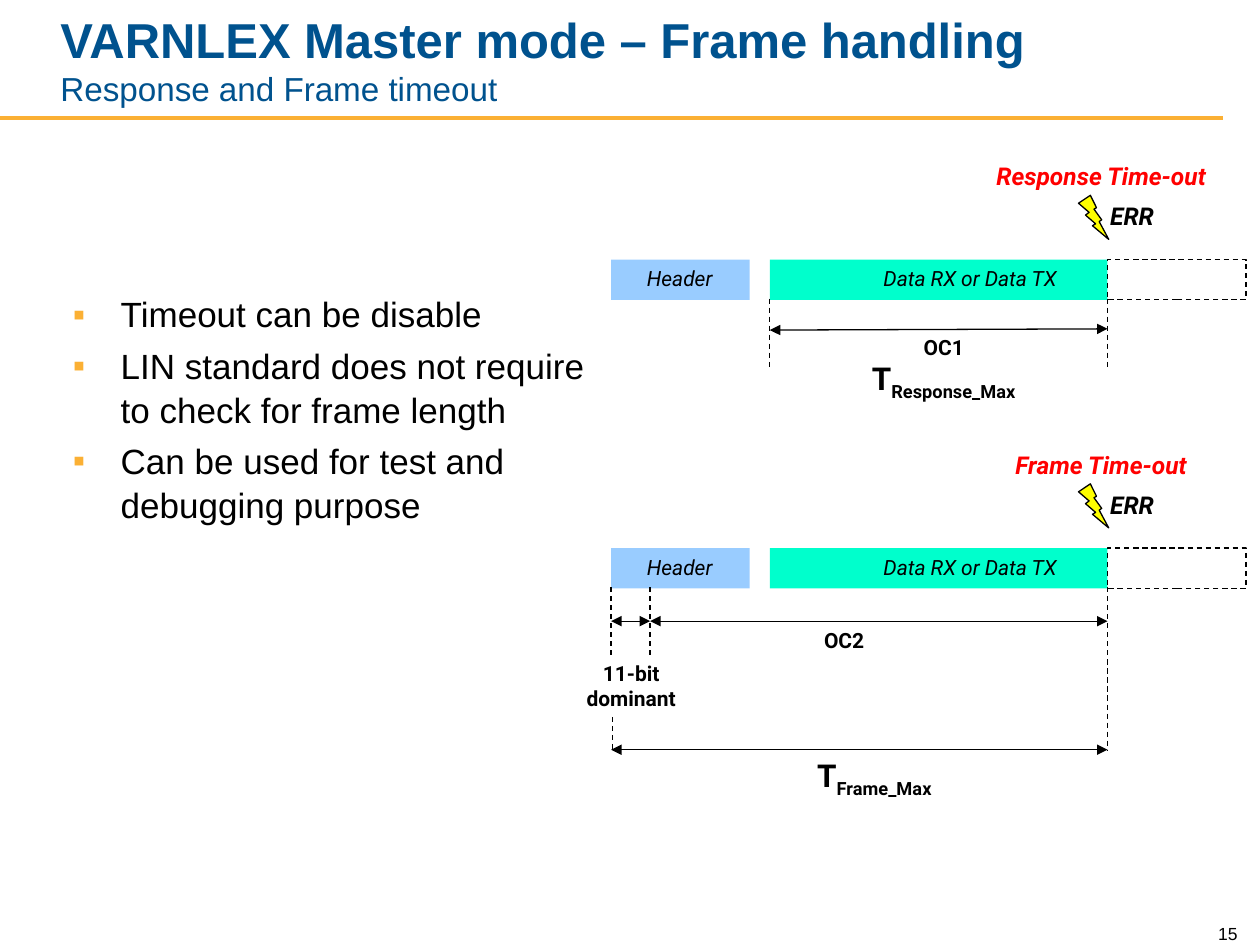
"""Build the slide on response and frame timeouts of a VARNLEX master."""
from lxml import etree
from pptx import Presentation, util as u
from pptx.dml import color as col
from pptx.enum import dml, shapes, text as tx
from pptx.oxml import ns

HUES = {"blue": "00528E", "gold": "FBB034", "sky": "99CCFF", "mint": "00FFCC",
        "red": "FF0000", "sun": "FFFF00", "ink": "000000"}


def rgb(hue):
    """Give the colour object for a named hue."""
    return col.RGBColor.from_string(HUES[hue])


def node(home, tag, **attrs):
    """Add an XML child in the drawing namespace."""
    return etree.SubElement(home, ns.qn(tag), attrs)


def write(para, words, size=12, hue="ink", face="Roboto", bold=False, slant=False,
          side=tx.PP_ALIGN.CENTER, sub=False):
    """Add a formatted run to a paragraph."""
    para.alignment = side
    run = para.add_run()
    run.text = words
    font = run.font
    font.size, font.name, font.bold, font.italic = u.Pt(size), face, bold, slant
    font.color.rgb = rgb(hue)
    if sub:
        run._r.get_or_add_rPr().set("baseline", "-25000")


class Deck:
    """Hold the style and the current slide, on a grid of 100 columns by 75 rows."""

    def __init__(self):
        """Open a deck with one title-only slide."""
        self.file = Presentation()
        self.file.slide_width, self.file.slide_height = u.Inches(10), u.Inches(7.5)
        self.cell = self.file.slide_width / 100
        self.slide = self.file.slides.add_slide(self.file.slide_layouts[5])

    def span(self, *cells):
        """Turn grid cells into lengths."""
        return [u.Emu(round(c * self.cell)) for c in cells]

    def title(self, box, head, tail):
        """Fill the title with a heading and a smaller second line."""
        shape = self.slide.shapes.title
        shape.left, shape.top, shape.width, shape.height = self.span(*box)
        frame = shape.text_frame
        frame.auto_size = tx.MSO_AUTO_SIZE.NONE
        frame.vertical_anchor = tx.MSO_ANCHOR.BOTTOM
        para = frame.paragraphs[0]
        style = dict(hue="blue", face="Arial", side=tx.PP_ALIGN.LEFT)
        write(para, head, size=28, bold=True, **style)
        para.add_line_break()
        write(para, tail, size=19, **style)

    def frame(self, box, anchor=tx.MSO_ANCHOR.TOP):
        """Add an empty text box that wraps."""
        frame = self.slide.shapes.add_textbox(*self.span(*box)).text_frame
        frame.word_wrap, frame.vertical_anchor = True, anchor
        return frame

    def label(self, box, *lines, sub="", anchor=tx.MSO_ANCHOR.TOP, **style):
        """Add a text box with one paragraph a line and an optional subscript."""
        frame = self.frame(box, anchor)
        for k, line in enumerate(lines):
            para = frame.add_paragraph() if k else frame.paragraphs[0]
            write(para, line, **style)
        if sub:
            write(para, sub, sub=True, **style)

    def list(self, box, items):
        """Add a list with square bullets."""
        frame = self.frame(box)
        for k, item in enumerate(items):
            para = frame.add_paragraph() if k else frame.paragraphs[0]
            para.line_spacing = 1.05
            para.space_before = u.Pt(4 if k else 0)
            props = para._p.get_or_add_pPr()
            props.set("marL", str(u.Inches(0.38)))
            props.set("indent", str(-u.Inches(0.38)))
            node(node(props, "a:buClr"), "a:srgbClr", val=HUES["gold"])
            node(props, "a:buFont", typeface="Arial")
            node(props, "a:buChar", char="▪")
            write(para, item, size=20, face="Arial", side=tx.PP_ALIGN.LEFT)

    def block(self, box, fill=None, edge=False, dash=False,
              kind=shapes.MSO_SHAPE.RECTANGLE):
        """Add a preset shape."""
        shape = self.slide.shapes.add_shape(kind, *self.span(*box))
        shape.shadow.inherit = False
        if fill:
            shape.fill.solid()
            shape.fill.fore_color.rgb = rgb(fill)
        else:
            shape.fill.background()
        if edge:
            self.pen(shape.line, dash=dash)
        else:
            shape.line.fill.background()

    def pen(self, line, hue="ink", width=0.75, dash=False):
        """Set colour, width and dash of a line."""
        line.color.rgb, line.width = rgb(hue), u.Pt(width)
        if dash:
            line.dash_style = dml.MSO_LINE.DASH

    def line(self, ends, arrow=False, **style):
        """Add a straight line, with arrowheads at both ends on request."""
        link = self.slide.shapes.add_connector(
            shapes.MSO_CONNECTOR.STRAIGHT, *self.span(*ends))
        self.pen(link.line, **style)
        if arrow:
            for tag in ("a:headEnd", "a:tailEnd"):
                node(link.line._get_or_add_ln(), tag, type="triangle")
        node(link._element.spPr, "a:effectLst")

    def drop(self, x, top, end):
        """Add a dashed upright guide."""
        self.line((x, top, x, end), dash=True)

    def bar(self, top, name):
        """Draw one frame with its header, data, overrun and error flag."""
        self.block((48.5, top, 11, 3.2), "sky")
        self.block((61.1, top, 26.8, 3.2), "mint")
        self.label((49.3, top, 9.3, 3), "Header", slant=True)
        self.label((61.1, top, 31.8, 3), "Data RX or Data TX", slant=True)
        self.block((87.9, top, 11, 3.2), edge=True, dash=True)
        self.block((85.6, top - 5.1, 2.4, 3.5), "sun", edge=True,
                   kind=shapes.MSO_SHAPE.LIGHTNING_BOLT)
        loud = dict(size=14, bold=True, slant=True)
        self.label((77.4, top - 8.3, 20, 3.3), name, hue="red", **loud)
        self.label((86.8, top - 5.1, 6.1, 3.3), "ERR", **loud)


def main():
    """Lay out the slide and save it."""
    deck = Deck()
    deck.line((0, 9.4, 97.1, 9.4), hue="gold", width=2.25)
    deck.title((3.8, 1.8, 81.6, 7.3), "VARNLEX Master mode – Frame handling",
               "Response and Frame timeout")
    deck.list((4.8, 22.6, 42.7, 41), [
        "Timeout can be disable",
        "LIN standard does not require to check for frame length",
        "Can be used for test and debugging purpose"])

    deck.bar(20.6, "Response Time-out")
    for x in (61.1, 87.9):
        deck.drop(x, 23.7, 29.3)
    deck.line((61.1, 26.2, 87.9, 26.1), arrow=True)
    deck.label((61.9, 26.1, 26, 3), "OC1", bold=True)
    deck.label((61.9, 28, 26, 4), "T", sub="Response_Max", size=18, bold=True)

    deck.bar(43.5, "Frame Time-out")
    for x, top, end in ((48.5, 46.6, 52.3), (51.6, 46.6, 52.3),
                        (87.9, 46.6, 59.5), (48.6, 56.9, 59.7)):
        deck.drop(x, top, end)
    for left, right, y in ((48.5, 51.6, 49.3), (51.6, 87.9, 49.3), (48.5, 87.9, 59.5)):
        deck.line((left, y, right, y), arrow=True)
    deck.label((54, 49.3, 26, 3), "OC2", bold=True)
    deck.label((44.6, 51.9, 11, 5), "11-bit", "dominant", bold=True)
    deck.label((56.4, 59.5, 26, 4), "T", sub="Frame_Max", size=18, bold=True)

    deck.label((94.2, 72.4, 5, 3), "15", size=10, face="Arial",
               side=tx.PP_ALIGN.RIGHT, anchor=tx.MSO_ANCHOR.BOTTOM)
    deck.file.save("out.pptx")


if __name__ == "__main__":
    main()
